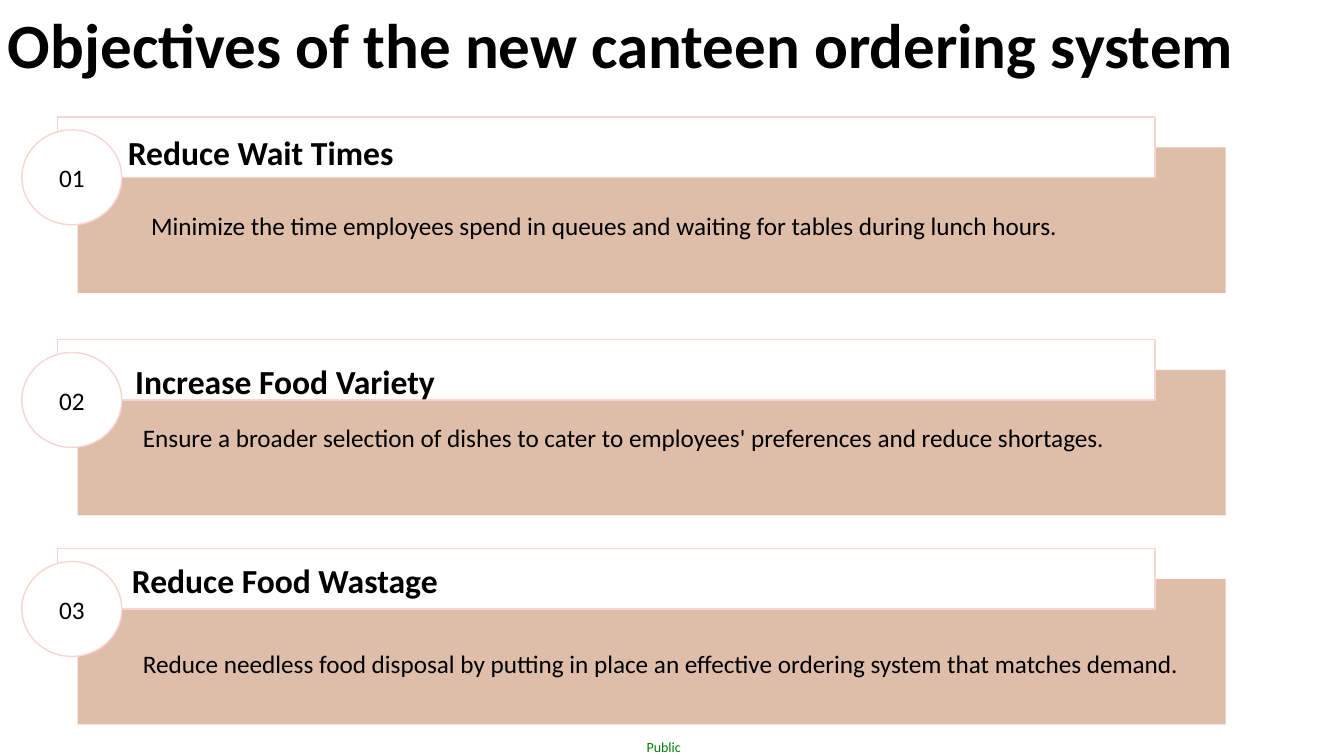
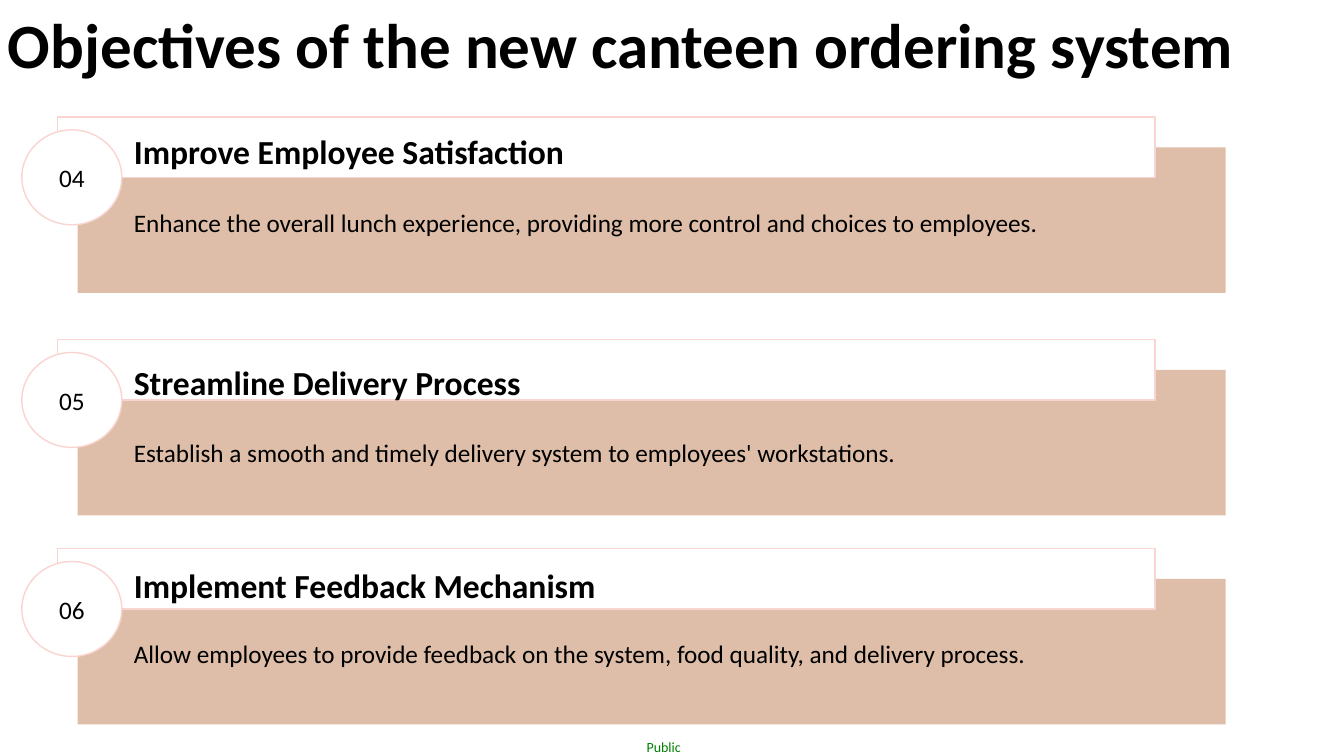
from pptx import Presentation
from pptx.dml.color import RGBColor
from pptx.enum import shapes, text
from pptx.util import Pt

FONT = "Calibri"
BLACK, WHITE, GREEN = "000000", "FFFFFF", "008000"
TAN, PINK = "DEBEA9", "FAD4D1"
TITLE = "Objectives of the new canteen ordering system"
CARD_TOPS = [83.5, 242.5, 391.8]
RECTANGLE = shapes.MSO_SHAPE.RECTANGLE
OVAL = shapes.MSO_SHAPE.OVAL

# Per card: heading, its left and top, then description, its left and top
SLIDES = [
    [
        ("Reduce Wait Times", 84.2, 88.6,
         "Minimize the time employees spend in queues and waiting for tables "
         "during lunch hours.", 100.8, 145.4),
        ("Increase Food Variety", 89.5, 252,
         "Ensure a broader selection of dishes to cater to employees' "
         "preferences and reduce shortages.", 95, 296.6),
        ("Reduce Food Wastage", 87.1, 394.2,
         "Reduce needless food disposal by putting in place an effective "
         "ordering system that matches demand.", 95, 457.9),
    ],
    [
        ("Improve Employee Satisfaction", 88.5, 87.8,
         "Enhance the overall lunch experience, providing more control and "
         "choices to employees.", 88.5, 143.3),
        ("Streamline Delivery Process", 88.5, 252.7,
         "Establish a smooth and timely delivery system to employees' "
         "workstations.", 88.5, 307.4),
        ("Implement Feedback Mechanism", 88.5, 398.2,
         "Allow employees to provide feedback on the system, food quality, "
         "and delivery process.", 88.5, 450.7),
    ],
]


def add_block(page, preset, left, top, width, height, fill, line=None):
    block = page.shapes.add_shape(preset, Pt(left), Pt(top), Pt(width), Pt(height))
    block.shadow.inherit = False
    block.fill.solid()
    block.fill.fore_color.rgb = RGBColor.from_string(fill)
    if line:
        block.line.color.rgb = RGBColor.from_string(line)
        block.line.width = Pt(1)
    else:
        block.line.fill.background()
    return block


def write(box, wording, size, color=BLACK, bold=False, align=text.PP_ALIGN.LEFT,
          spacing=1.07):
    """Put one line of text in a box and return its text frame."""
    frame = box.text_frame
    frame.word_wrap = True
    para = frame.paragraphs[0]
    para.alignment = align
    para.line_spacing = spacing
    span = para.add_run()
    span.text = wording
    span.font.name = FONT
    span.font.size = Pt(size)
    span.font.bold = bold
    span.font.color.rgb = RGBColor.from_string(color)
    return frame


deck = Presentation()
deck.slide_width, deck.slide_height = Pt(960), Pt(540)
number = 0

for cards in SLIDES:
    page = deck.slides.add_slide(deck.slide_layouts[6])

    footer = page.shapes.add_textbox(Pt(460.8), Pt(527.8), Pt(26.6), Pt(12.2))
    frame = write(footer, "Public", 10, GREEN, align=text.PP_ALIGN.CENTER, spacing=1)
    frame.margin_left = frame.margin_right = frame.margin_top = frame.margin_bottom = 0
    frame.word_wrap = False

    for top, card in zip(CARD_TOPS, cards):
        heading, heading_left, heading_top, detail, detail_left, detail_top = card
        number += 1
        add_block(page, RECTANGLE, 55.5, top + 21.7, 820, 104, TAN)
        add_block(page, RECTANGLE, 41, top, 784, 43.3, WHITE, PINK)
        badge = add_block(page, OVAL, 15.6, top + 9.3, 71.4, 67.8, WHITE, PINK)
        frame = write(badge, f"{number:02}", 18, align=text.PP_ALIGN.CENTER, spacing=1)
        frame.vertical_anchor = text.MSO_ANCHOR.MIDDLE

        detail_box = page.shapes.add_textbox(
            Pt(detail_left), Pt(detail_top), Pt(840), Pt(29.5))
        write(detail_box, detail, 18)
        heading_box = page.shapes.add_textbox(
            Pt(heading_left), Pt(heading_top), Pt(480), Pt(36.7))
        write(heading_box, heading, 24, bold=True)

    title = page.shapes.add_textbox(Pt(-1.4), Pt(-3.6), Pt(934.6), Pt(63.4))
    write(title, TITLE, 45, bold=True)

deck.save("out.pptx")
